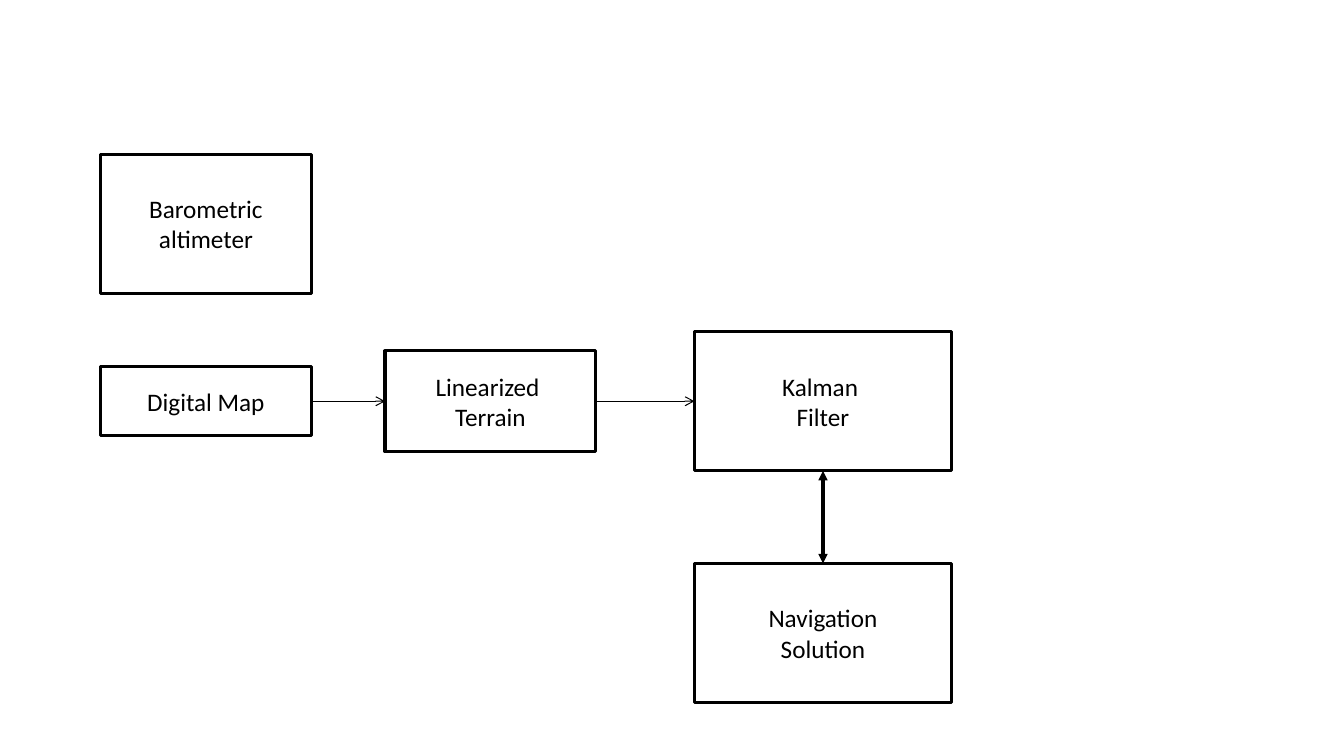
from lxml.etree import SubElement
from pptx import Presentation
from pptx.dml.color import RGBColor
from pptx.enum.shapes import MSO_CONNECTOR, MSO_SHAPE
from pptx.enum.text import MSO_ANCHOR, PP_ALIGN
from pptx.oxml.ns import qn
from pptx.util import Cm, Pt

COLORS = {"ink": "000000", "paper": "FFFFFF"}
TOP, LEFT, BOTTOM, RIGHT = range(4)  # connection sites of a rectangle


class Diagram:
    font = "Calibri"
    size = Pt(18)
    thick = Pt(2.25)
    thin = Pt(0.75)

    def __init__(self, slide):
        self.shapes = slide.shapes

    def color(self, name):
        return RGBColor.from_string(COLORS[name])

    def stroke(self, line, width):
        line.color.rgb = self.color("ink")
        line.width = width

    def box(self, lines, x, y, width, height, filled=True):
        """Draw a box centred on x, y, with one paragraph per line."""
        box = self.shapes.add_shape(
            MSO_SHAPE.RECTANGLE, Cm(x - width / 2), Cm(y - height / 2),
            Cm(width), Cm(height))
        box.shadow.inherit = False
        if filled:
            box.fill.solid()
            box.fill.fore_color.rgb = self.color("paper")
        else:
            box.fill.background()
        self.stroke(box.line, self.thick)
        frame = box.text_frame
        frame.word_wrap = True
        frame.vertical_anchor = MSO_ANCHOR.MIDDLE
        for i, text in enumerate(lines):
            para = frame.add_paragraph() if i else frame.paragraphs[0]
            para.alignment = PP_ALIGN.CENTER
            run = para.add_run()
            run.text = text
            run.font.name = self.font
            run.font.size = self.size
            run.font.color.rgb = self.color("ink")
        return box

    def link(self, start, out, end, into, width, **heads):
        """Join two boxes; heads maps headEnd or tailEnd to an arrow type."""
        link = self.shapes.add_connector(MSO_CONNECTOR.STRAIGHT, 0, 0, 0, 0)
        link.begin_connect(start, out)
        link.end_connect(end, into)
        self.stroke(link.line, width)
        for tag, kind in heads.items():
            SubElement(link.line._get_or_add_ln(), qn(f"a:{tag}"), type=kind)
        SubElement(link._element.spPr, qn("a:effectLst"))


def main():
    deck = Presentation()
    deck.slide_width, deck.slide_height = Cm(33.87), Cm(19.05)
    art = Diagram(deck.slides.add_slide(deck.slide_layouts[6]))

    source, model, filt = 5.19, 12.36, 20.74  # column centres
    high, mid, low = 5.64, 10.11, 15.95  # row centres
    slim, wide, tall = 5.31, 6.48, 3.51

    art.box(["Barometric", "altimeter"], source, high, slim, tall)
    result = art.box(["Navigation", "Solution"], filt, low, wide, tall)
    terrain = art.box(["Linearized ", "Terrain"], model, mid, slim, 2.54)
    chart = art.box(["Digital Map"], source, mid, slim, 1.75)
    kalman = art.box(["Kalman ", "Filter"], filt, mid, wide, tall, filled=False)

    for start, end in ((chart, terrain), (terrain, kalman)):
        art.link(start, RIGHT, end, LEFT, art.thin, tailEnd="arrow")
    art.link(kalman, BOTTOM, result, TOP, art.thick,
             headEnd="triangle", tailEnd="triangle")

    deck.save("out.pptx")


if __name__ == "__main__":
    main()
